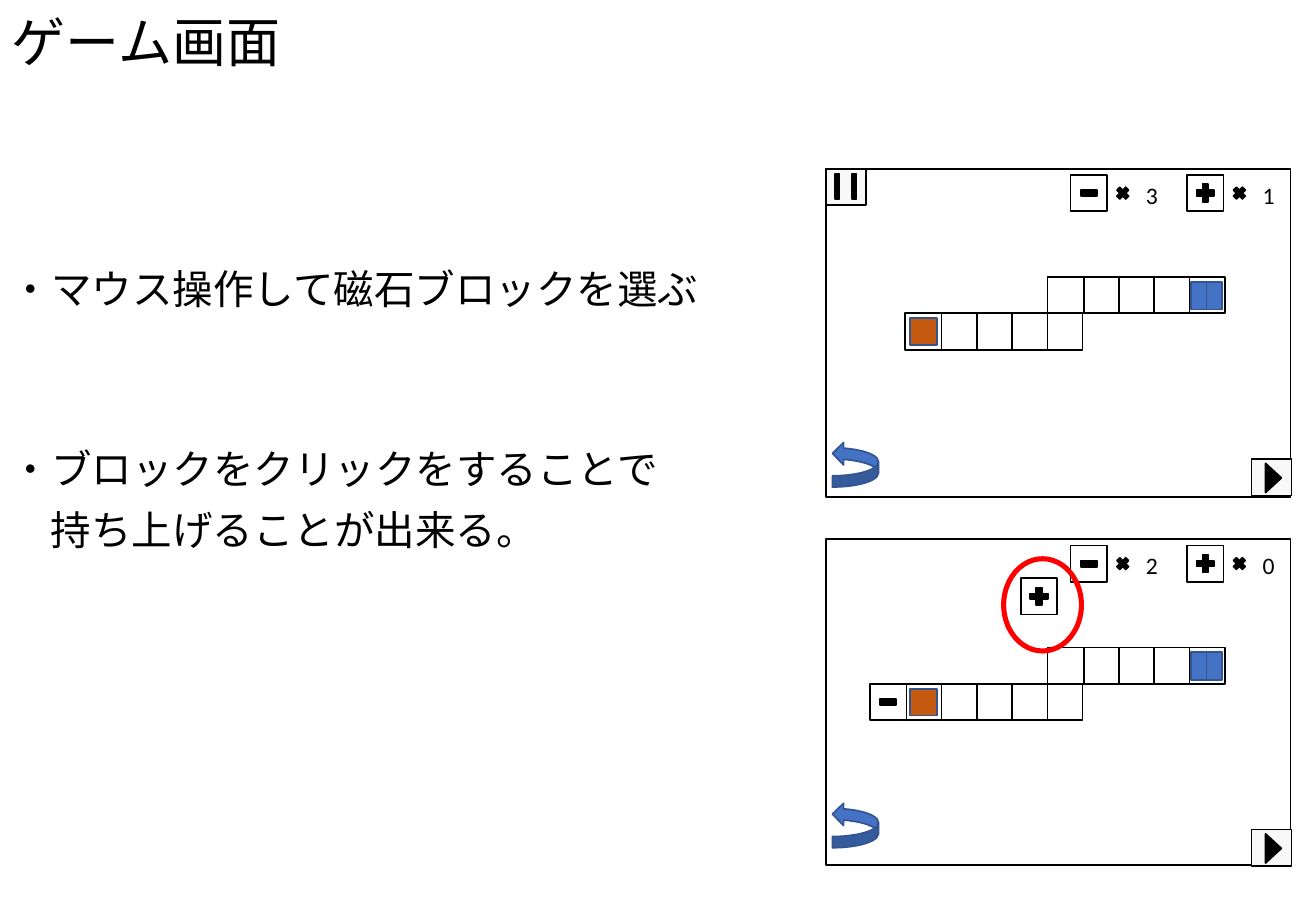
from pptx import Presentation
from pptx.dml.color import RGBColor
from pptx.enum.shapes import MSO_SHAPE as Kind
from pptx.enum.text import MSO_ANCHOR as Anchor, PP_ALIGN as Align
from pptx.util import Inches, Pt

BLACK, WHITE, GRAY = "000000", "FFFFFF", "F8F8F8"
BLUE, NAVY, RUST, RED = "4472C4", "325491", "C55A11", "FF0000"
CELL, STEP, LEFT = 0.3, 0.29, 6.8


def color(code):
    """Turn a hex string into a colour."""
    return RGBColor.from_string(code)


def piece(group, kind, x, y, w, h, fill=WHITE, line=BLACK, width=1):
    """Add a preset shape; fill None leaves it open."""
    shape = group.shapes.add_shape(kind, Inches(x), Inches(y), Inches(w), Inches(h))
    shape.shadow.inherit = False
    if fill:
        shape.fill.solid()
        shape.fill.fore_color.rgb = color(fill)
    else:
        shape.fill.background()
    shape.line.color.rgb = color(line)
    shape.line.width = Pt(width)
    return shape


def style(para, size):
    """Set the font of a paragraph."""
    para.font.name = "Calibri"
    para.font.size = Pt(size)
    para.font.color.rgb = color(BLACK)


def label(parent, x, y, w, h, lines, size):
    """Add a wrapped text box with one paragraph per line."""
    frame = parent.shapes.add_textbox(Inches(x), Inches(y), Inches(w), Inches(h)).text_frame
    frame.word_wrap = True
    frame.text = "\n".join(lines)
    for para in frame.paragraphs:
        para.line_spacing = 0.9
        style(para, size)
    return frame


def cell(group, x, y):
    """Add one empty square."""
    piece(group, Kind.RECTANGLE, x, y, CELL, CELL)


def minus(group, x, y):
    """Add a square with a minus sign."""
    cell(group, x, y)
    piece(group, Kind.MATH_MINUS, x + 0.06, y + 0.04, 0.18, 0.22, BLACK)


def plus(group, x, y):
    """Add a square with a plus sign."""
    cell(group, x, y)
    piece(group, Kind.MATH_PLUS, x + 0.05, y + 0.05, 0.2, 0.2, BLACK)


def stock(group, sign, x, y, count):
    """Add a magnet block with the number left."""
    sign(group, x, y)
    piece(group, Kind.MATH_MULTIPLY, x + 0.36, y + 0.08, 0.14, 0.14, BLACK)
    frame = label(group, x + 0.52, y, 0.3, 0.4, [count], 14)
    frame.margin_left = frame.margin_right = 0
    frame.paragraphs[0].line_spacing = 1.0
    frame.paragraphs[0].alignment = Align.CENTER


def row(group, x, y):
    """Add five squares, the leftmost on top."""
    for i in reversed(range(5)):
        cell(group, x + i * STEP, y)


def board(group, top):
    """Add the course with its start and goal."""
    row(group, 8.62, top + 0.89)
    row(group, 7.45, top + 1.19)
    piece(group, Kind.RECTANGLE, 7.49, top + 1.23, 0.22, 0.22, RUST, NAVY)
    for x in (9.8, 9.93):
        piece(group, Kind.RECTANGLE, x, top + 0.93, 0.13, 0.23, BLUE, NAVY)


def undo(group, y):
    """Add the curved arrow that takes a move back."""
    arrow = piece(group, Kind.CURVED_LEFT_ARROW, 6.85, y, 0.38, 0.37, BLUE, NAVY)
    arrow._element.spPr.xfrm.set("flipV", "1")


def pause(group, top):
    """Add the pause button."""
    piece(group, Kind.RECTANGLE, LEFT, top, 0.33, 0.3, GRAY)
    for x in (6.87, 7.01):
        piece(group, Kind.RECTANGLE, x, top + 0.04, 0.04, 0.21, BLACK)


def play(group, y):
    """Add the play button."""
    piece(group, Kind.RECTANGLE, 10.3, y, 0.33, 0.3, GRAY)
    mark = piece(group, Kind.ISOSCELES_TRIANGLE, 10.36, y + 0.09, 0.24, 0.13, BLACK)
    mark.rotation = 90


def screen(slide, top, height, left, back):
    """Add a game screen and return its group."""
    group = slide.shapes.add_group_shape()
    piece(group, Kind.RECTANGLE, LEFT, top, 3.82, height)
    board(group, top)
    for sign, x, count in zip((minus, plus), (8.81, 9.77), left):
        stock(group, sign, x, top + 0.05, count)
    undo(group, back)
    play(group, top + 2.39)
    return group


def notes(slide):
    """Add the title and the two points."""
    title = label(slide, 0, 0, 5.26, 0.74, ["ゲーム画面"], 32)
    title.vertical_anchor = Anchor.MIDDLE
    lines = ["・マウス操作して磁石ブロックを選ぶ",
             "・ブロックをクリックをすることで",
             "持ち上げることが出来る。"]
    body = label(slide, -0.01, 2.17, 5.88, 3.01, lines, 24)
    _, point, rest = body.paragraphs
    point.space_before = Pt(81)
    rest.space_before = Pt(10)
    rest._p.get_or_add_pPr().set("marL", str(Inches(0.33)))


def main():
    """Build the slide and save it."""
    deck = Presentation()
    deck.slide_width, deck.slide_height = Inches(10.83), Inches(7.5)
    slide = deck.slides.add_slide(deck.slide_layouts[6])
    notes(slide)
    first = screen(slide, 1.39, 2.7, "31", 3.64)
    pause(first, 1.39)
    second = screen(slide, 4.44, 2.68, "20", 6.61)
    minus(second, 7.45 - STEP, 5.63)
    plus(second, 8.4, 4.76)
    piece(second, Kind.OVAL, 8.26, 4.6, 0.64, 0.76, None, RED, 3)
    deck.save("out.pptx")


if __name__ == "__main__":
    main()
